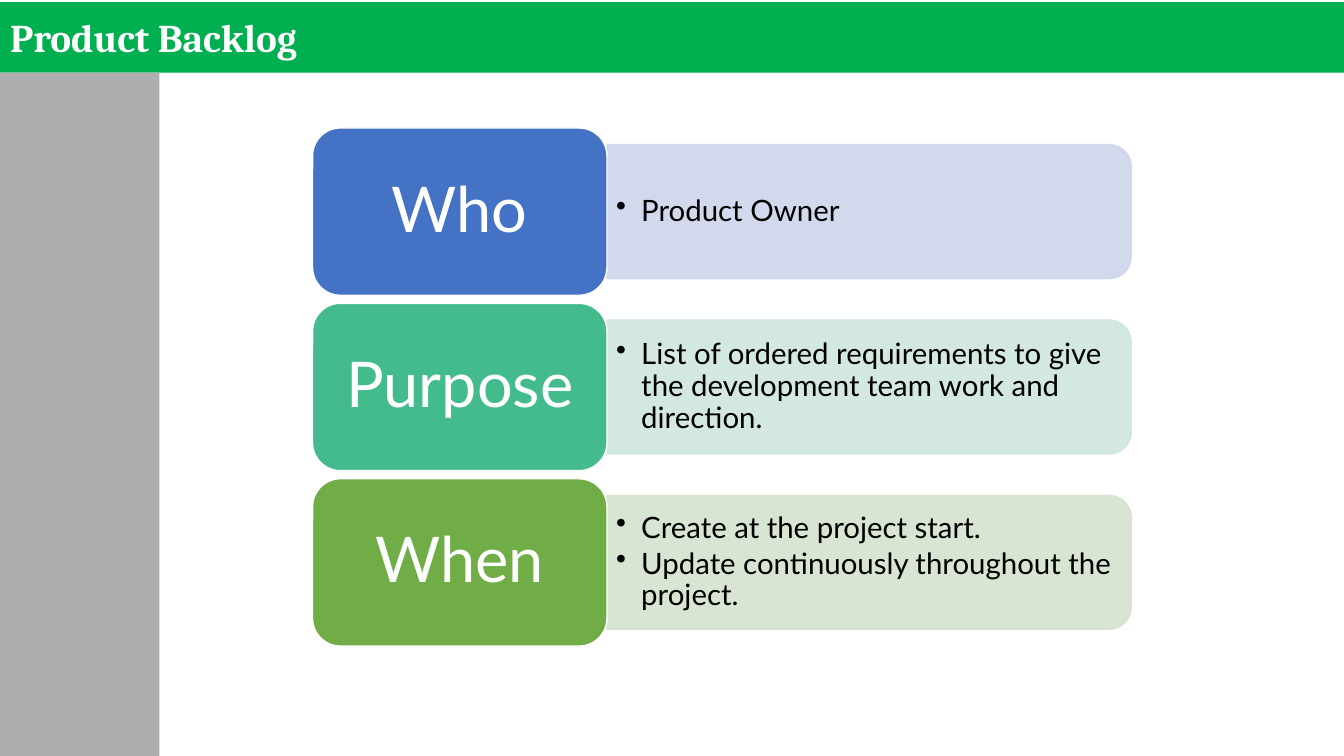
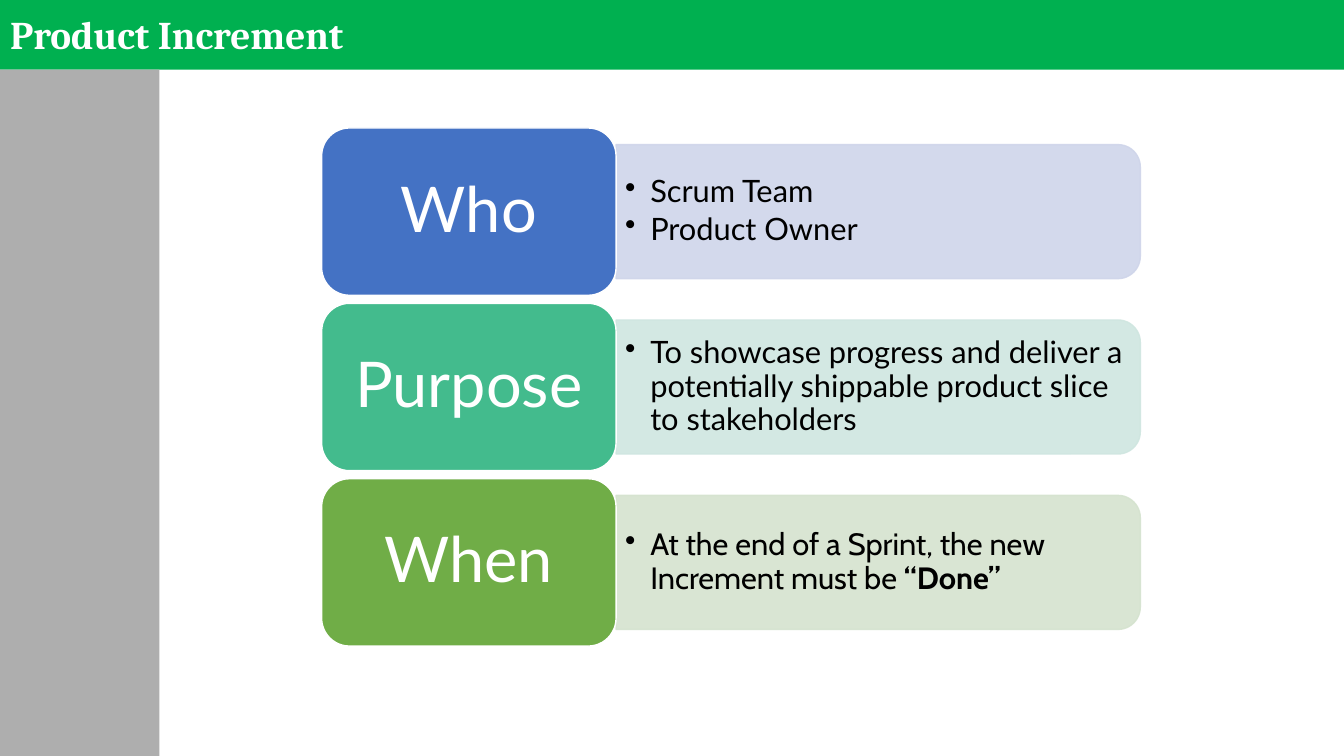
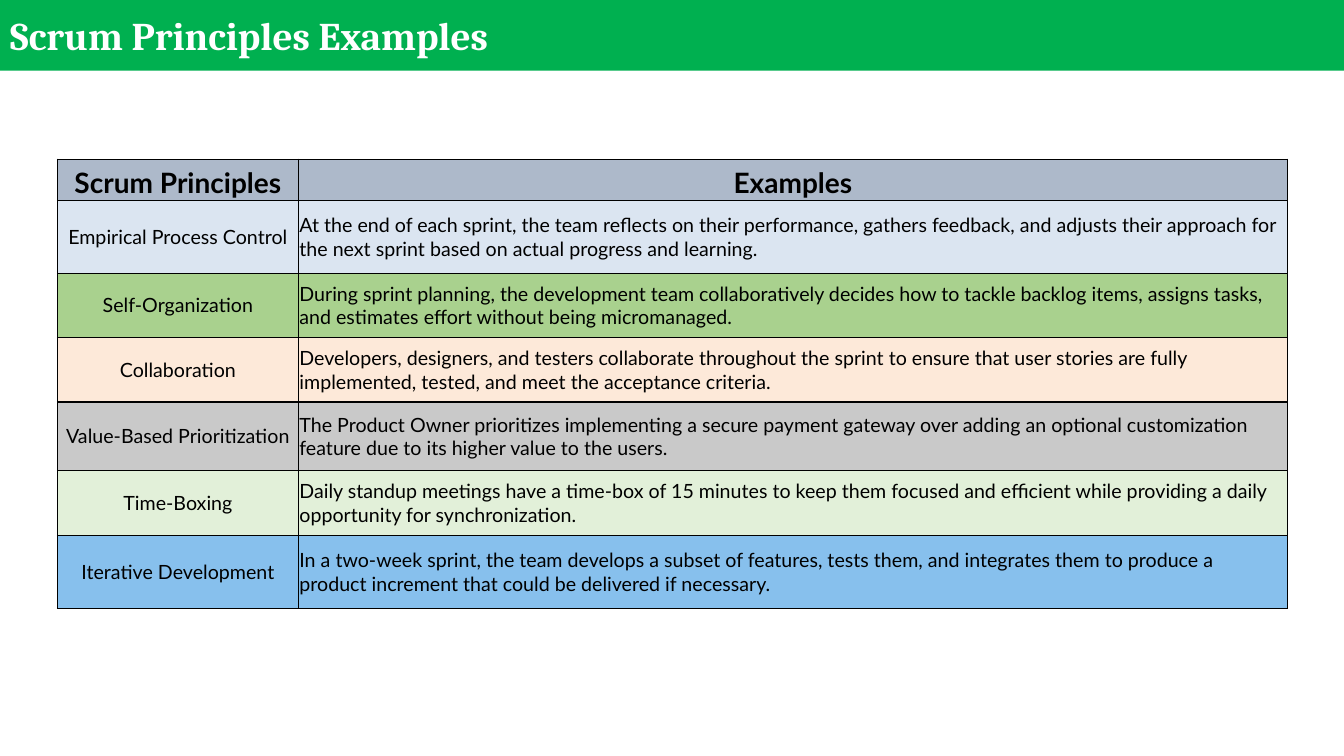
from lxml import etree
from pptx import Presentation
from pptx.dml.color import RGBColor
from pptx.enum.shapes import MSO_SHAPE
from pptx.enum.text import MSO_ANCHOR, MSO_AUTO_SIZE, PP_ALIGN
from pptx.oxml.ns import qn
from pptx.util import Inches, Pt

ROUND_RECT = MSO_SHAPE.ROUNDED_RECTANGLE
ROUND_TOP = MSO_SHAPE.ROUND_2_SAME_RECTANGLE
RECT = MSO_SHAPE.RECTANGLE
LEFT, CENTER = PP_ALIGN.LEFT, PP_ALIGN.CENTER
MIDDLE, BOTTOM = MSO_ANCHOR.MIDDLE, MSO_ANCHOR.BOTTOM

# Content: a paragraph is a string or a list of (text, bold) runs
ARTIFACTS = [
    dict(title="Product Backlog", band_top=0.02, left=3.1, size=21, answers=[
        (["Product Owner"], "Lato"),
        (["List of ordered requirements to give the development team work and direction."], "Lato"),
        (["Create at the project start.",
          "Update continuously throughout the project."], "Lato"),
    ]),
    dict(title="Product Increment", band_top=-0.01, left=3.19, size=22, answers=[
        (["Scrum Team", "Product Owner"], "Lato"),
        (["To showcase progress and deliver a potentially shippable product slice to stakeholders"], "Lato"),
        ([[("At the end of a Sprint, the new Increment must be ", False), ("“Done”", True)]], "Cabin"),
    ]),
]
# Question, label colour, answer colour
QUESTIONS = [("Who", "4472C4", "CFD5EA"),
             ("Purpose", "43BB8D", "CFE6E0"),
             ("When", "70AD47", "D5E3CF")]

PRINCIPLES_TITLE = "Scrum Principles Examples"
# Principle, example, fill, row height
PRINCIPLES = [
    ("Scrum Principles", "Examples", "ADB9CA", 0.41),
    ("Empirical Process Control",
     "At the end of each sprint, the team reflects on their performance, gathers feedback, "
     "and adjusts their approach for the next sprint based on actual progress and learning.",
     "DBE5F1", 0.72),
    ("Self-Organization",
     "During sprint planning, the development team collaboratively decides how to tackle "
     "backlog items, assigns tasks, and estimates effort without being micromanaged.",
     "A9D18E", 0.64),
    ("Collaboration",
     "Developers, designers, and testers collaborate throughout the sprint to ensure that "
     "user stories are fully implemented, tested, and meet the acceptance criteria.",
     "FDE9D9", 0.64),
    ("Value-Based Prioritization",
     "The Product Owner prioritizes implementing a secure payment gateway over adding an "
     "optional customization feature due to its higher value to the users.",
     "C9C9C9", 0.68),
    ("Time-Boxing",
     "Daily standup meetings have a time-box of 15 minutes to keep them focused and efficient "
     "while providing a daily opportunity for synchronization.",
     "E2F0D9", 0.64),
    ("Iterative Development",
     "In a two-week sprint, the team develops a subset of features, tests them, and integrates "
     "them to produce a product increment that could be delivered if necessary.",
     "87C0ED", 0.73),
]

# Shared measures, in inches
SLIDE_W, SLIDE_H = 13.33, 7.5
BAND_H, SIDEBAR_W = 0.7, 1.58
ROWS_TOP, ROW_H, ROW_STEP = 1.27, 1.66, 1.74
LABEL_W, ANSWER_W, ANSWER_H = 2.92, 5.2, 1.33
TABLE_LEFT, TABLE_TOP, COLUMNS = 0.57, 1.58, (2.39, 9.81)


def rgb(value):
    return RGBColor.from_string(value)


def put_text(frame, paragraphs, size, font="Lato", color="000000", bold=False, align=LEFT,
             anchor=MIDDLE, insets=None, bullet=False, spacing=None, after=None):
    frame.word_wrap = True
    frame.auto_size = MSO_AUTO_SIZE.NONE
    frame.vertical_anchor = anchor
    if insets:
        frame.margin_left = frame.margin_right = Inches(insets[0])
        frame.margin_top = frame.margin_bottom = Inches(insets[1])
    for i, content in enumerate(paragraphs):
        par = frame.add_paragraph() if i else frame.paragraphs[0]
        if bullet:
            props = par._p.get_or_add_pPr()
            props.set("marL", str(Inches(0.25)))
            props.set("indent", str(-Inches(0.25)))
            etree.SubElement(props, qn("a:buChar")).set("char", "•")
        par.alignment = align
        if spacing:
            par.line_spacing = spacing
        if after:
            par.space_after = Pt(after)
        for text, run_bold in [(content, bold)] if isinstance(content, str) else content:
            run = par.add_run()
            run.text = text
            run.font.name, run.font.size, run.font.bold = font, Pt(size), run_bold
            run.font.color.rgb = rgb(color)


def add_block(slide, kind, left, top, width, height, fill, line=None, opacity=None):
    block = slide.shapes.add_shape(kind, *map(Inches, (left, top, width, height)))
    block.shadow.inherit = False
    block.fill.solid()
    block.fill.fore_color.rgb = rgb(fill)
    if line:
        block.line.color.rgb = rgb(line)
        block.line.width = Pt(1)
    else:
        block.line.fill.background()
    if opacity:
        for color in block._element.spPr.iter(qn("a:srgbClr")):
            etree.SubElement(color, qn("a:alpha")).set("val", str(opacity * 1000))
    return block


def add_titled_slide(prs, title, band_top=0):
    slide = prs.slides.add_slide(prs.slide_layouts[5])
    band = slide.shapes.title
    band.left, band.top = 0, Inches(band_top)
    band.width, band.height = Inches(SLIDE_W), Inches(BAND_H)
    band.fill.solid()
    band.fill.fore_color.rgb = rgb("00B050")
    put_text(band.text_frame, [title], 28, font="Cambria", color="FFFFFF", bold=True,
             insets=(0.1, 0.05))
    return slide


def add_artifact_slide(prs, title, band_top, left, size, answers):
    slide = add_titled_slide(prs, title, band_top)
    sidebar_top = band_top + BAND_H
    add_block(slide, RECT, 0, sidebar_top, SIDEBAR_W, SLIDE_H - sidebar_top, "AEAEAE")
    answer_left = left + LABEL_W
    for row, ((question, dark, pale), (answer, font)) in enumerate(zip(QUESTIONS, answers)):
        top = ROWS_TOP + row * ROW_STEP
        middle = top + ROW_H / 2
        # Answer bar: an upright shape turned a quarter, so its round end faces right
        bar = add_block(slide, ROUND_TOP, answer_left + (ANSWER_W - ANSWER_H) / 2,
                        middle - ANSWER_W / 2, ANSWER_H, ANSWER_W, pale, pale, opacity=90)
        bar.rotation = 90
        answer_box = slide.shapes.add_textbox(
            *map(Inches, (answer_left, middle - 0.6, ANSWER_W - 0.07, 1.2)))
        put_text(answer_box.text_frame, answer, size, font=font, insets=(0.09, 0.04),
                 bullet=True, spacing=0.9, after=3)
        # Question label
        label = add_block(slide, ROUND_RECT, left, top, LABEL_W, ROW_H, dark, "FFFFFF")
        put_text(label.text_frame, [question], 45, color="FFFFFF", align=CENTER,
                 insets=(0.19, 0.09), spacing=0.9, after=16)


def add_borders(cell):
    props = cell._tc.get_or_add_tcPr()
    for i, side in enumerate(("a:lnL", "a:lnR", "a:lnT", "a:lnB")):
        edge = etree.Element(qn(side), w=str(Pt(1)))
        fill = etree.SubElement(edge, qn("a:solidFill"))
        etree.SubElement(fill, qn("a:srgbClr")).set("val", "000000")
        props.insert(i, edge)


def add_principles_slide(prs):
    slide = add_titled_slide(prs, PRINCIPLES_TITLE)
    heights = [row[-1] for row in PRINCIPLES]
    table = slide.shapes.add_table(
        len(PRINCIPLES), len(COLUMNS),
        *map(Inches, (TABLE_LEFT, TABLE_TOP, sum(COLUMNS), sum(heights)))).table
    table.horz_banding = False
    for column, width in zip(table.columns, COLUMNS):
        column.width = Inches(width)
    for r, (principle, example, fill, height) in enumerate(PRINCIPLES):
        table.rows[r].height = Inches(height)
        header = r == 0
        for c, text in enumerate((principle, example)):
            cell = table.cell(r, c)
            cell.fill.solid()
            cell.fill.fore_color.rgb = rgb(fill)
            cell.margin_left = cell.margin_right = Inches(0.01)
            cell.margin_top = cell.margin_bottom = Inches(0.01)
            put_text(cell.text_frame, [text], 20 if header else 14, bold=header,
                     align=CENTER if header or c == 0 else LEFT)
            cell.vertical_anchor = BOTTOM if header else MIDDLE
            add_borders(cell)


def main():
    prs = Presentation()
    prs.slide_width, prs.slide_height = Inches(SLIDE_W), Inches(SLIDE_H)
    for artifact in ARTIFACTS:
        add_artifact_slide(prs, **artifact)
    add_principles_slide(prs)
    prs.save("out.pptx")


if __name__ == "__main__":
    main()
